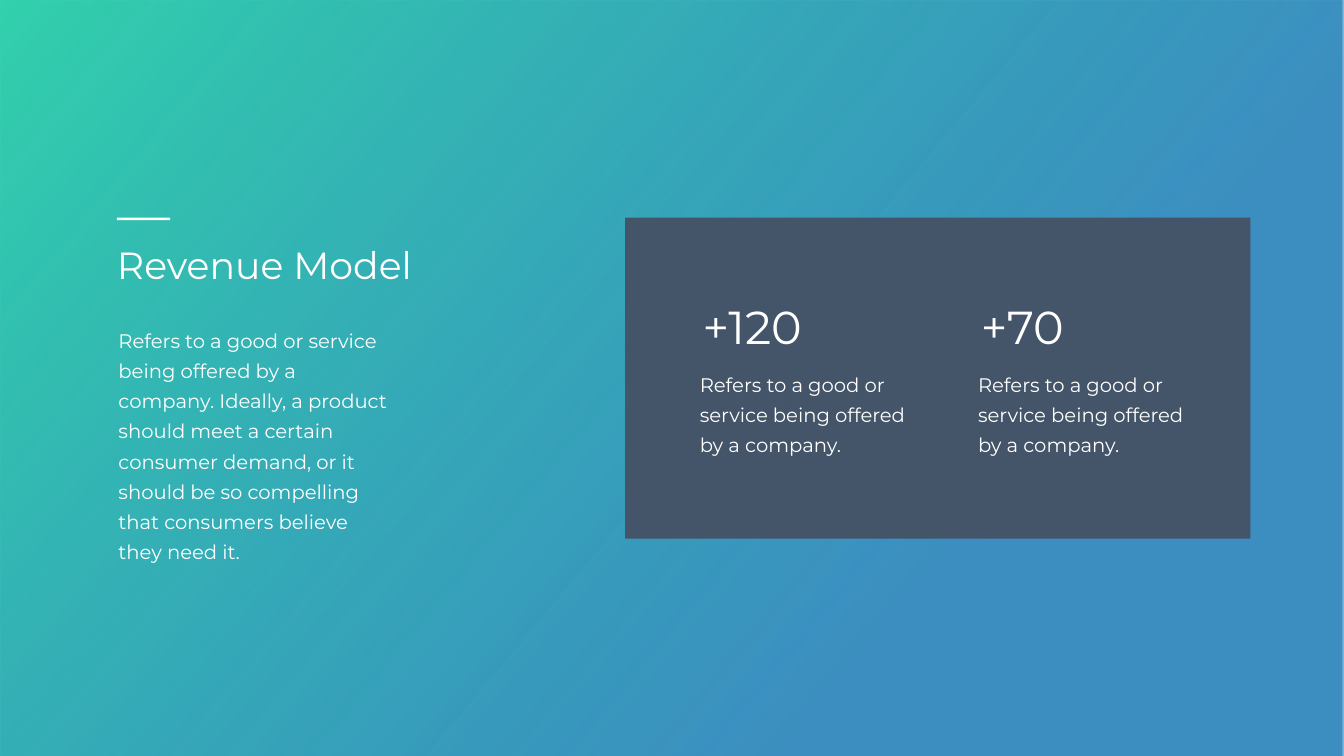
from lxml.etree import SubElement
from pptx import Presentation
from pptx.dml.color import RGBColor
from pptx.enum.shapes import MSO_SHAPE
from pptx.enum.text import MSO_ANCHOR, MSO_AUTO_SIZE, PP_ALIGN
from pptx.oxml.ns import qn
from pptx.util import Cm, Pt

FONT = "Montserrat"
WHITE = RGBColor(0xFF, 0xFF, 0xFF)
SLATE = RGBColor(0x44, 0x54, 0x69)
GREEN = RGBColor(0x33, 0xD1, 0xAD)
BLUE = RGBColor(0x0D, 0x73, 0xB2)

WIDTH, HEIGHT = 67.72, 38.1
TOP = 10.97
COLUMN_LEFT, COLUMN_STEP = 34.65, 14.02

SERVICE = "Refers to a good or service being offered by a company."
DEMAND = (
    " Ideally, a product should meet a certain consumer demand, "
    "or it should be so compelling that consumers believe they need it."
)
FIGURES = [("+120", 5.82), ("+70", 4.8)]


def add_block(page, left, top, width, height, color):
    """Add a plain filled rectangle."""
    block = page.shapes.add_shape(
        MSO_SHAPE.RECTANGLE, Cm(left), Cm(top), Cm(width), Cm(height)
    )
    block.shadow.inherit = False
    block.fill.solid()
    block.fill.fore_color.rgb = color
    block.line.fill.background()
    return block


def add_backdrop(page):
    """Lay a diagonal green to blue gradient behind everything else."""
    backdrop = add_block(page, 0, 0, WIDTH, HEIGHT, GREEN)
    fill = backdrop.fill
    fill.gradient()
    fill.gradient_angle = 320
    start, end = fill.gradient_stops
    start.color.rgb, start.position = GREEN, 0
    end.color.rgb, end.position = BLUE, 0.73
    blue = backdrop.element.findall(".//" + qn("a:gs"))[-1].find(qn("a:srgbClr"))
    SubElement(blue, qn("a:alpha"), val="80000")
    page.shapes.element.insert(2, backdrop.element)


def add_box(page, left, top, width, height):
    """Add an empty text box."""
    return page.shapes.add_textbox(Cm(left), Cm(top), Cm(width), Cm(height))


def move(box, left, top, width, height):
    """Place a placeholder on the page."""
    box.left, box.top = Cm(left), Cm(top)
    box.width, box.height = Cm(width), Cm(height)
    return box


def write(box, text, size, wrap):
    """Write one white, left-aligned paragraph and return it."""
    frame = box.text_frame
    frame.text = text
    frame.word_wrap = wrap
    frame.auto_size = MSO_AUTO_SIZE.SHAPE_TO_FIT_TEXT
    frame.vertical_anchor = MSO_ANCHOR.TOP
    paragraph = frame.paragraphs[0]
    properties = paragraph._p.get_or_add_pPr()
    properties.set("marL", "0")
    properties.set("indent", "0")
    SubElement(properties, qn("a:buNone"))
    paragraph.alignment = PP_ALIGN.LEFT
    paragraph.space_before = Pt(0)
    paragraph.font.name = FONT
    paragraph.font.size = Pt(size)
    paragraph.font.color.rgb = WHITE
    return paragraph


def write_body(box, text):
    """Write wrapped running text with wide margins and fixed leading."""
    frame = box.text_frame
    frame.margin_left = frame.margin_right = Cm(0.61)
    frame.margin_top = frame.margin_bottom = Cm(0.3)
    write(box, text, 28, True).line_spacing = Pt(43)


def add_figure(page, left, number, width):
    """Add a large number above its explanation."""
    write_body(add_box(page, left, 18.14, 11.99, 5.08), SERVICE)
    write(add_box(page, left + 0.5, 14.91, width, 3.07), number, 66, False)


def main():
    """Build the revenue model slide."""
    deck = Presentation()
    deck.slide_width, deck.slide_height = Cm(WIDTH), Cm(HEIGHT)
    page = deck.slides.add_slide(deck.slide_layouts[1])
    add_backdrop(page)

    add_block(page, 5.89, TOP, 2.69, 0.13, WHITE)
    title = move(page.shapes.title, 5.64, 12.07, 15.57, 2.57)
    write(title, "Revenue Model", 54, False)
    body = move(page.placeholders[1], 5.36, 15.95, 15.21, 11.2)
    write_body(body, SERVICE + DEMAND)

    add_block(page, 31.5, TOP, 31.5, 16.18, SLATE)
    for index, (number, width) in enumerate(FIGURES):
        add_figure(page, COLUMN_LEFT + index * COLUMN_STEP, number, width)

    deck.save("out.pptx")


if __name__ == "__main__":
    main()
